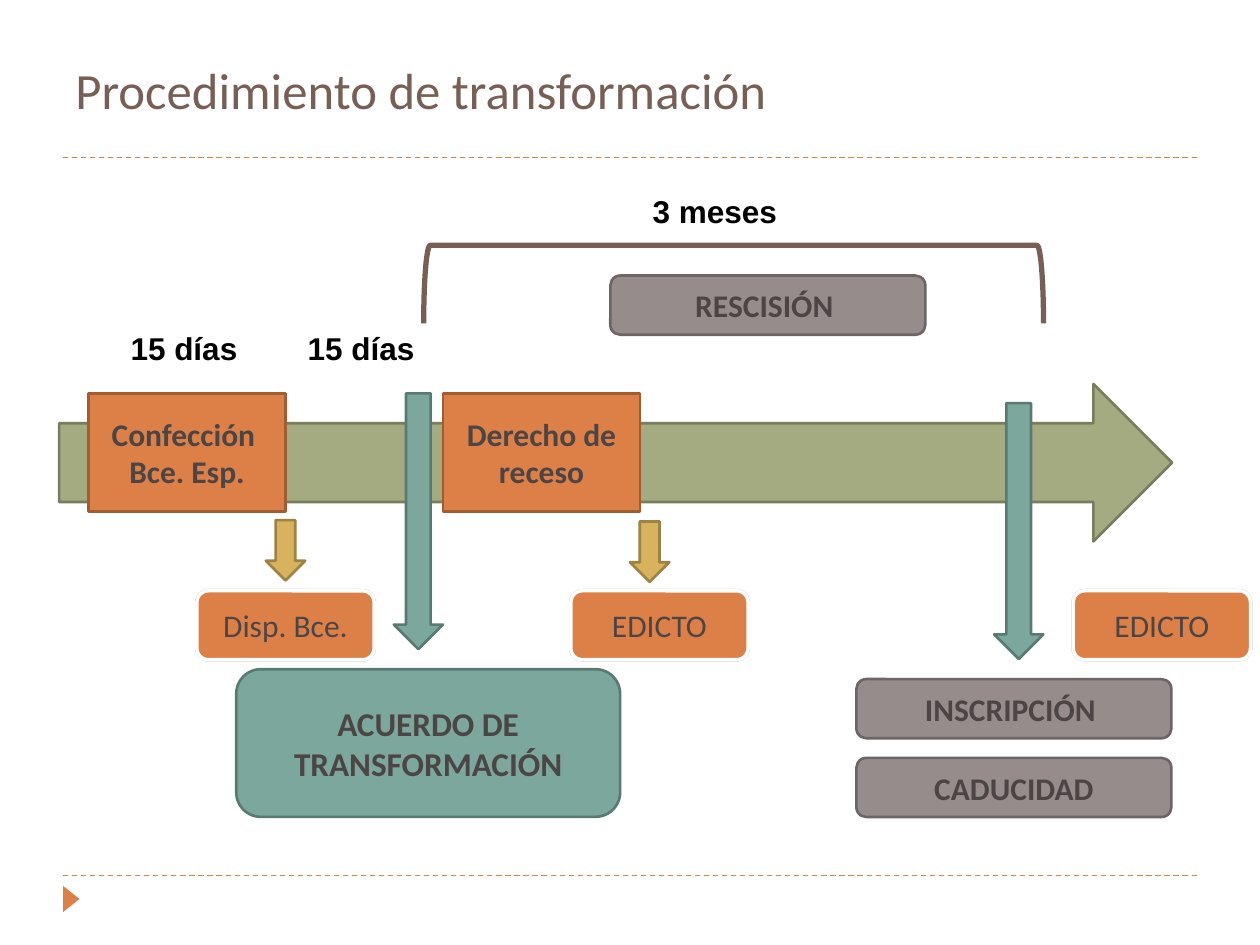
"""Build the slide on the steps of a company transformation."""
from dataclasses import dataclass

from lxml.etree import SubElement
from pptx import Presentation
from pptx.dml.color import RGBColor
from pptx.enum.dml import MSO_LINE as Dash
from pptx.enum.shapes import MSO_CONNECTOR as Link, MSO_SHAPE as Kind
from pptx.enum.text import MSO_ANCHOR as Anchor, PP_ALIGN as Align
from pptx.oxml.ns import qn
from pptx.util import Pt

ORANGE, BROWN, INK = "DD8047", "775F55", "4C4545"


@dataclass(frozen=True)
class Style:
    kind: Kind
    width: float
    height: float
    fill: str | None
    edge: str | None
    weight: float = 1.5
    size: float = 18
    bold: bool = True
    glow: bool = False


@dataclass(frozen=True)
class Item:
    style: Style
    left: float
    top: float
    text: str = ""
    turn: float = 0
    bend: float | None = None


SPAN = Style(Kind.RIGHT_ARROW, 636, 90, "A5AB81", "787D5D")
STEP = Style(Kind.RECTANGLE, 112.5, 67.5, ORANGE, "A25C32")
DROP = Style(Kind.DOWN_ARROW, 28.1, 146.2, "7BA79D", "597A72")
HINT = Style(Kind.DOWN_ARROW, 22.5, 34.5, "D8B25C", "9E8241")
DEAL = Style(Kind.ROUNDED_RECTANGLE, 219.4, 84.4, "7BA79D", "597A72", size=19)
PILL = Style(Kind.ROUNDED_RECTANGLE, 101.3, 39.4, ORANGE, "FFFFFF", 2, bold=False, glow=True)
END = Style(Kind.ROUNDED_RECTANGLE, 180, 33.8, "968C8C", "6D6565")
BRACE = Style(Kind.RIGHT_BRACKET, 44.6, 354.2, None, BROWN, 3)
MARK = Style(Kind.ISOSCELES_TRIANGLE, 15, 9.4, ORANGE, None)

ITEMS = [
    Item(MARK, 33.2, 509, turn=90),
    Item(SPAN, 33.8, 219.4),
    Item(STEP, 50.6, 224.8, "Confección \nBce. Esp."),
    Item(DROP, 225, 224.8),
    Item(STEP, 253.2, 224.8, "Derecho de receso"),
    Item(HINT, 151.9, 297.2),
    Item(DEAL, 135, 382.4, "ACUERDO DE TRANSFORMACIÓN"),
    Item(PILL, 112.5, 337.6, "Disp. Bce."),
    Item(PILL, 326.2, 337.6, "EDICTO"),
    Item(HINT, 360, 298),
    Item(BRACE, 396.9, -14.6, turn=270, bend=0.083),
    Item(DROP, 568.1, 230.4),
    Item(END, 489.4, 388.1, "INSCRIPCIÓN "),
    Item(END, 489.4, 433.1, "CADUCIDAD"),
    Item(END, 348.8, 157.5, "RESCISIÓN "),
    Item(PILL, 613.3, 337.6, "EDICTO"),
]
SPANS = [("15 días", 67.5, 184.3), ("15 días", 168.7, 184.3), ("3 meses", 365.8, 106)]


def paint(code: str) -> RGBColor:
    return RGBColor.from_string(code)


def write(shape, text: str, *, font="Calibri", size=18.0, color=INK, bold=False,
          align=Align.LEFT, anchor=Anchor.TOP, before=0.0) -> None:
    frame = shape.text_frame
    frame.word_wrap = True
    frame.vertical_anchor = anchor
    frame.text = text
    for para in frame.paragraphs:
        para.alignment = align
        para.space_before = Pt(before)
        face = para.runs[0].font
        face.name, face.size, face.bold = font, Pt(size), bold
        face.color.rgb = paint(color)


def label(slide, text: str, left: float, top: float, width: float, height: float, **form) -> None:
    box = slide.shapes.add_textbox(Pt(left), Pt(top), Pt(width), Pt(height))
    write(box, text, **form)


def draw(slide, item: Item) -> None:
    style = item.style
    shape = slide.shapes.add_shape(
        style.kind, Pt(item.left), Pt(item.top), Pt(style.width), Pt(style.height))
    shape.rotation = item.turn
    shape.shadow.inherit = False
    if item.bend is not None:
        shape.adjustments[0] = item.bend
    if style.fill:
        shape.fill.solid()
        shape.fill.fore_color.rgb = paint(style.fill)
    else:
        shape.fill.background()
    if style.edge:
        shape.line.color.rgb = paint(style.edge)
        shape.line.width = Pt(style.weight)
    else:
        shape.line.fill.background()
    if style.glow:
        effect = shape.element.spPr.find(qn("a:effectLst"))
        shade = SubElement(effect, qn("a:outerShdw"), blurRad="0", dist="0", dir="0")
        tint = SubElement(shade, qn("a:srgbClr"), val="000000")
        SubElement(tint, qn("a:alpha"), val="40000")
    if item.text:
        write(shape, item.text, size=style.size, bold=style.bold,
              align=Align.CENTER, anchor=Anchor.MIDDLE)


def rule(slide, top: float) -> None:
    line = slide.shapes.add_connector(Link.STRAIGHT, Pt(36), Pt(top), Pt(684), Pt(top))
    line.line.color.rgb = paint(ORANGE)
    line.line.width = Pt(0.75)
    line.line.dash_style = Dash.DASH
    SubElement(line.element.spPr, qn("a:effectLst"))


def main() -> None:
    deck = Presentation()
    deck.slide_width, deck.slide_height = Pt(720), Pt(540)
    slide = deck.slides.add_slide(deck.slide_layouts[6])
    for top in (500.4, 90):
        rule(slide, top)
    label(slide, "Procedimiento de transformación", 36, -5.8, 648, 77.8,
          size=29, color=BROWN, anchor=Anchor.BOTTOM)
    for item in ITEMS:
        draw(slide, item)
    for text, left, top in SPANS:
        label(slide, text, left, top, 112.5, 28.8,
              font="Arial", color="000000", bold=True, before=6)
    deck.save("out.pptx")


if __name__ == "__main__":
    main()
